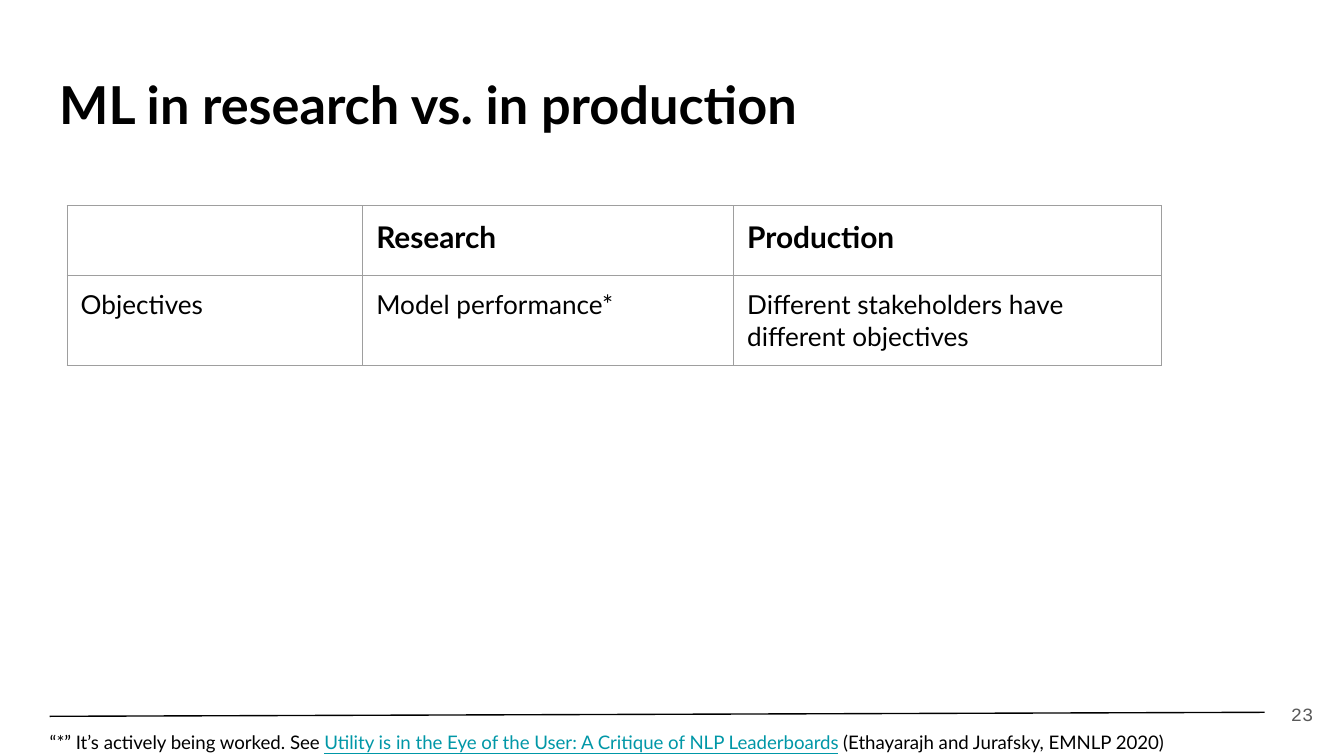
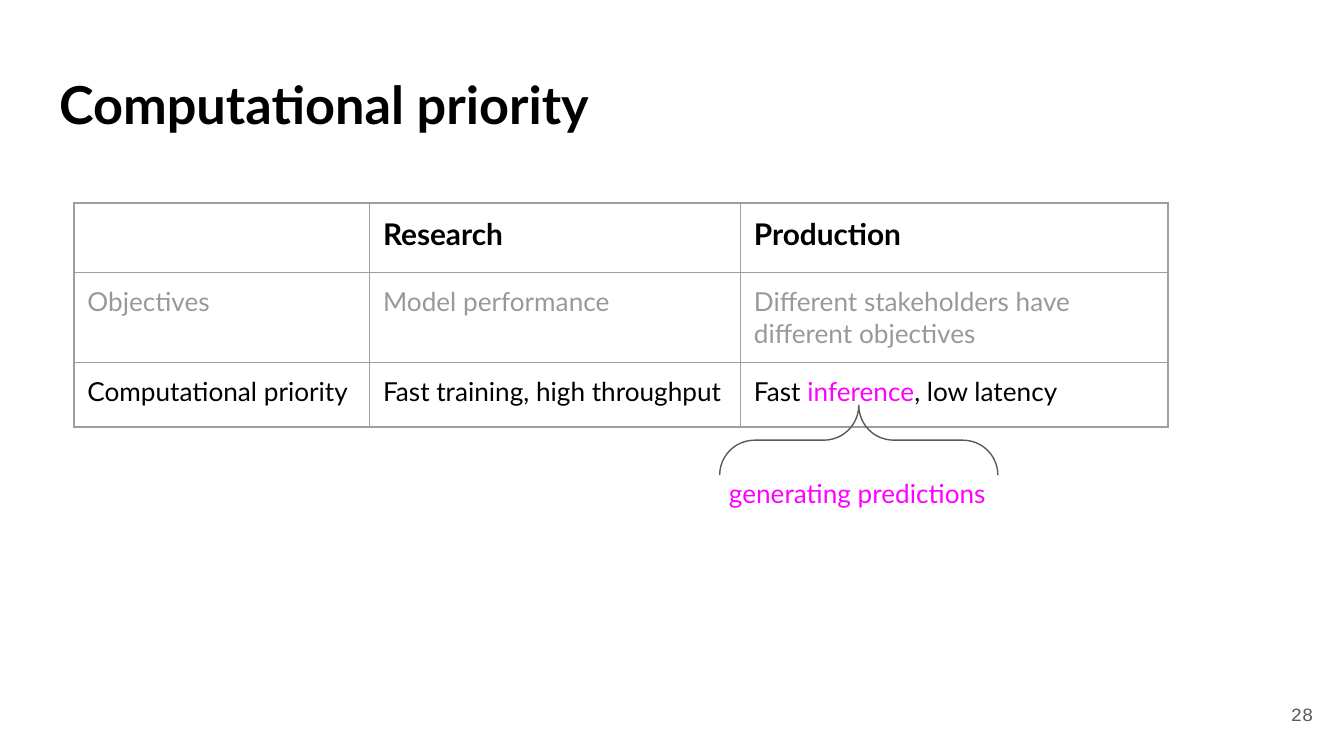
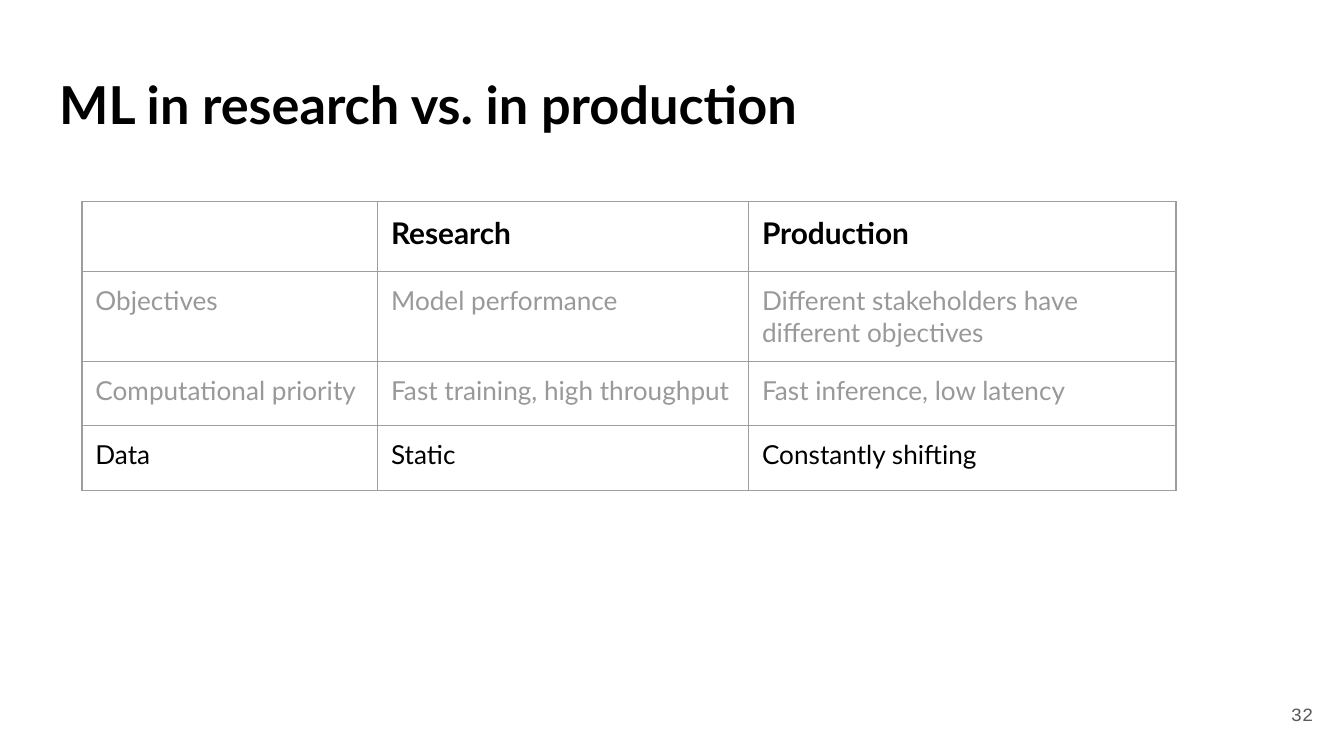
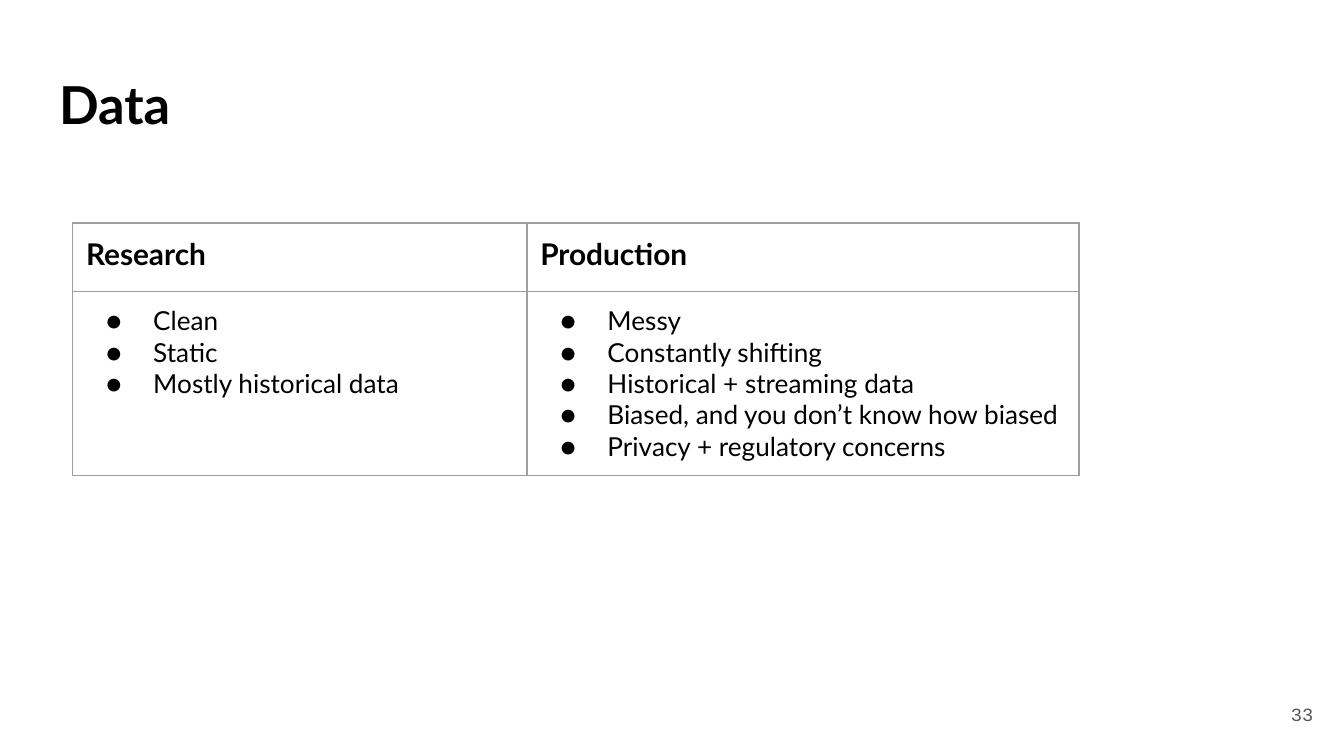
from lxml import etree
from pptx import Presentation
from pptx.dml.color import RGBColor
from pptx.enum.shapes import MSO_CONNECTOR, MSO_SHAPE
from pptx.enum.text import MSO_ANCHOR, MSO_AUTO_SIZE, PP_ALIGN
from pptx.oxml.ns import qn
from pptx.util import Inches, Pt

LEFT, CENTER, RIGHT = PP_ALIGN.LEFT, PP_ALIGN.CENTER, PP_ALIGN.RIGHT
TOP, MIDDLE = MSO_ANCHOR.TOP, MSO_ANCHOR.MIDDLE
BRACE, STRAIGHT = MSO_SHAPE.RIGHT_BRACE, MSO_CONNECTOR.STRAIGHT

COLORS = {"ink": "000000", "faded": "999999", "border": "9E9E9E",
          "gray": "595959", "accent": "FF00FF", "link": "0097A7"}

TITLE = {"name": "Lato", "size": 28, "bold": True, "color": "ink"}
HEADING = {**TITLE, "size": 16}
BODY = {"name": "Lato", "size": 14, "bold": False, "color": "ink"}
FADED = {**BODY, "color": "faded"}
ACCENT = {**BODY, "color": "accent"}
NOTE = {**BODY, "size": 10}
LINK = {**NOTE, "color": "link", "underline": True}
PAGE_NUMBER = {"name": "Courier New", "size": 10, "color": "gray"}

# A cell is a string, a tuple of (text, format) runs, or a list of bullets.
HEADER = ("", "Research", "Production")
OBJECTIVES = ("Objectives", "Model performance",
              "Different stakeholders have different objectives")
PRIORITY = ("Computational priority", "Fast training, high throughput",
            "Fast inference, low latency")
PRIORITY_MARKED = (*PRIORITY[:2], (("Fast ", BODY), ("inference", ACCENT),
                                   (", low latency", BODY)))
DATA = ("Data", "Static", "Constantly shifting")
DATA_TRAITS = (
    ["Clean", "Static", "Mostly historical data"],
    ["Messy", "Constantly shifting", "Historical + streaming data",
     "Biased, and you don’t know how biased", "Privacy + regulatory concerns"],
)
FOOTNOTE = (
    ("“*” It’s actively being worked. See ", NOTE),
    ("Utility is in the Eye of the User: A Critique of NLP Leaderboards", LINK),
    (" (Ethayarajh and Jurafsky, EMNLP 2020)", NOTE),
)

COMPARISON = {"columns": (2.2, 2.76, 3.18), "heights": (0.52, 0.48), "border": 0.75}
TRAITS = {"columns": (3.38, 4.11), "heights": (0.51, 0.47), "border": 1}

SLIDES = [
    {"title": "ML in research vs. in production", "number": 23, "at": (0.5, 1.53),
     "grid": COMPARISON,
     "rows": [HEADER, (OBJECTIVES[0], "Model performance*", OBJECTIVES[2])]},
    {"title": "Computational priority", "number": 28, "at": (0.55, 1.51),
     "grid": COMPARISON, "rows": [HEADER, OBJECTIVES, PRIORITY_MARKED]},
    {"title": "ML in research vs. in production", "number": 32, "at": (0.61, 1.5),
     "grid": COMPARISON, "rows": [HEADER, OBJECTIVES, PRIORITY, DATA]},
    {"title": "Data", "number": 33, "at": (0.54, 1.66),
     "grid": TRAITS, "rows": [HEADER[1:], DATA_TRAITS]},
]


def rgb(color):
    return RGBColor.from_string(COLORS[color])


def write_runs(paragraph, runs):
    for text, style in runs:
        run = paragraph.add_run()
        run.text = text
        for key, value in style.items():
            if key == "color":
                run.font.color.rgb = rgb(value)
            else:
                setattr(run.font, key, Pt(value) if key == "size" else value)


def fill_frame(frame, runs, align=LEFT, anchor=TOP, inset=0.1, spacing=None):
    settings = {"word_wrap": True, "auto_size": MSO_AUTO_SIZE.NONE,
                "vertical_anchor": anchor}
    settings.update({f"margin_{side}": Inches(inset)
                     for side in ("left", "right", "top", "bottom")})
    for key, value in settings.items():
        setattr(frame, key, value)
    paragraph = frame.paragraphs[0]
    paragraph.alignment = align
    paragraph.line_spacing = spacing
    write_runs(paragraph, runs)


def add_text(slide, box, runs, **layout):
    textbox = slide.shapes.add_textbox(*map(Inches, box))
    fill_frame(textbox.text_frame, runs, **layout)


def add_bullet(paragraph, style):
    properties = paragraph._p.get_or_add_pPr()
    properties.set("marL", str(Inches(0.5)))
    properties.set("indent", str(Inches(-0.35)))
    color = etree.SubElement(properties, qn("a:buClr"))
    etree.SubElement(color, qn("a:srgbClr"), val=COLORS[style["color"]])
    etree.SubElement(properties, qn("a:buSzPts"), val=str(style["size"] * 100))
    etree.SubElement(properties, qn("a:buFont"), typeface=style["name"])
    etree.SubElement(properties, qn("a:buChar"), char="●")


def set_borders(cell, width):
    properties = cell._tc.get_or_add_tcPr()
    for side in ("lnL", "lnR", "lnT", "lnB"):
        line = etree.SubElement(properties, qn(f"a:{side}"), w=str(Pt(width)))
        fill = etree.SubElement(line, qn("a:solidFill"))
        etree.SubElement(fill, qn("a:srgbClr"), val=COLORS["border"])


def fill_cell(cell, content, style, border):
    for side in ("left", "right", "top", "bottom"):
        setattr(cell, f"margin_{side}", Inches(0.1))
    set_borders(cell, border)
    cell.fill.background()
    frame = cell.text_frame
    if isinstance(content, list):
        for index, item in enumerate(content):
            paragraph = frame.add_paragraph() if index else frame.paragraphs[0]
            add_bullet(paragraph, style)
            write_runs(paragraph, [(item, style)])
    elif isinstance(content, tuple):
        write_runs(frame.paragraphs[0], content)
    elif content:
        write_runs(frame.paragraphs[0], [(content, style)])


def add_grid(slide, at, grid, rows):
    """Add a table whose last row is current and whose earlier rows are faded."""
    columns, (header_height, row_height) = grid["columns"], grid["heights"]
    heights = [header_height] + [row_height] * (len(rows) - 1)
    size = (sum(columns), sum(heights))
    table = slide.shapes.add_table(len(rows), len(columns),
                                   *map(Inches, at + size)).table
    table.first_row = table.horz_banding = False
    for column, width in zip(table.columns, columns):
        column.width = Inches(width)
    for index, (row, height) in enumerate(zip(table.rows, heights)):
        row.height = Inches(height)
        style = HEADING if index == 0 else BODY if index == len(rows) - 1 else FADED
        for cell, content in zip(row.cells, rows[index]):
            fill_cell(cell, content, style, grid["border"])


def add_base_slide(deck, content):
    slide = deck.slides.add_slide(deck.slide_layouts[5])
    title = slide.shapes.title
    title.left, title.top, title.width, title.height = map(
        Inches, (0.34, 0.44, 9.32, 0.63))
    fill_frame(title.text_frame, [(content["title"], TITLE)])
    add_text(slide, (9.27, 5.1, 0.6, 0.43), [(str(content["number"]), PAGE_NUMBER)],
             align=RIGHT, anchor=MIDDLE)
    add_grid(slide, content["at"], content["grid"], content["rows"])
    return slide


def add_footnote(slide):
    rule = slide.shapes.add_connector(STRAIGHT, *map(Inches, (0.37, 5.33, 9.41, 5.3)))
    rule.line.color.rgb = rgb("ink")
    rule.line.width = Pt(0.75)
    etree.SubElement(rule._element.spPr, qn("a:effectLst"))
    add_text(slide, (0.37, 5.38, 9.09, 0.25), FOOTNOTE, inset=0, spacing=1.33)


def add_inference_callout(slide):
    brace = slide.shapes.add_shape(BRACE, *map(Inches, (6.13, 2.24, 0.52, 2.07)))
    brace.rotation = 270
    brace.adjustments[0] = brace.adjustments[1] = 0.5
    brace.shadow.inherit = False
    brace.fill.background()
    brace.line.color.rgb = rgb("gray")
    brace.line.width = Pt(0.75)
    add_text(slide, (5.21, 3.45, 2.34, 0.43), [("generating predictions", ACCENT)],
             align=CENTER)


def main():
    deck = Presentation()
    deck.slide_width = Inches(10)
    deck.slide_height = deck.slide_width * 9 // 16
    objectives, priority, *_ = [add_base_slide(deck, content) for content in SLIDES]
    add_footnote(objectives)
    add_inference_callout(priority)
    deck.save("out.pptx")


if __name__ == "__main__":
    main()
